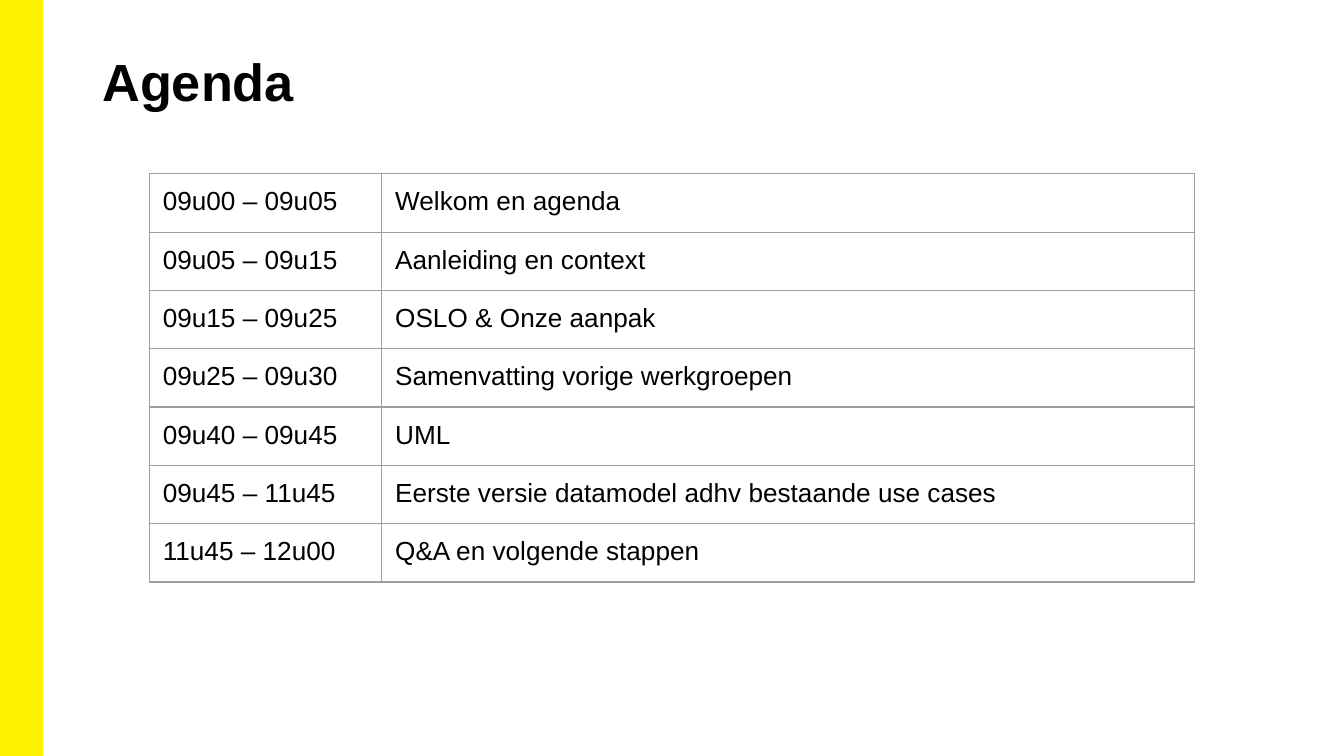
from lxml import etree
from pptx import Presentation
from pptx.dml.color import RGBColor
from pptx.enum import shapes, text
from pptx.oxml import ns
from pptx.util import Pt

YELLOW = RGBColor(0xFF, 0xF2, 0x00)
BLACK = RGBColor(0x00, 0x00, 0x00)
GREY = RGBColor(0x9E, 0x9E, 0x9E)
FONT = "Arial"

AGENDA = [
    ("09u00 – 09u05", "Welkom en agenda"),
    ("09u05 – 09u15", "Aanleiding en context"),
    ("09u15 – 09u25", "OSLO & Onze aanpak"),
    ("09u25 – 09u30", "Samenvatting vorige werkgroepen"),
    ("09u40 – 09u45", "UML"),
    ("09u45 – 11u45", "Eerste versie datamodel adhv bestaande use cases"),
    ("11u45 – 12u00", "Q&A en volgende stappen"),
]
ROW_HEIGHTS = [31.5, 31.2, 30.2, 30.2, 31.2, 30.2, 30.2]


def add_run(p, words, size, bold=False):
    r = p.add_run()
    r.text = words
    r.font.name = FONT
    r.font.size = Pt(size)
    r.font.bold = bold
    r.font.color.rgb = BLACK


def set_borders(cell):
    props = cell._tc.get_or_add_tcPr()
    for index, side in enumerate(("lnL", "lnR", "lnT", "lnB")):
        line = etree.Element(ns.qn(f"a:{side}"), w=str(Pt(0.75)))
        fill = etree.SubElement(line, ns.qn("a:solidFill"))
        etree.SubElement(fill, ns.qn("a:srgbClr"), val=str(GREY))
        props.insert(index, line)


def add_side_bar(s, left, top, width, height):
    sp = s.shapes.add_shape(
        shapes.MSO_SHAPE.RECTANGLE, Pt(left), Pt(top), Pt(width), Pt(height)
    )
    sp.shadow.inherit = False
    sp.fill.solid()
    sp.fill.fore_color.rgb = YELLOW
    sp.line.color.rgb = YELLOW
    sp.line.width = Pt(1)


def add_title(s, words, left, top, width, height):
    tf = s.shapes.add_textbox(Pt(left), Pt(top), Pt(width), Pt(height)).text_frame
    tf.word_wrap = True
    tf.vertical_anchor = text.MSO_ANCHOR.TOP
    tf.margin_left = tf.margin_right = Pt(5.4)
    tf.margin_top, tf.margin_bottom = Pt(5), Pt(2.7)
    add_run(tf.paragraphs[0], words, 28, bold=True)


def add_agenda(s, left, top, width, time_width):
    frame = s.shapes.add_table(
        len(AGENDA), 2, Pt(left), Pt(top), Pt(width), Pt(sum(ROW_HEIGHTS))
    )
    table = frame.table
    table.first_row = table.horz_banding = False
    table.columns[0].width = Pt(time_width)
    table.columns[1].width = Pt(width - time_width)
    for row, height, entry in zip(table.rows, ROW_HEIGHTS, AGENDA):
        row.height = Pt(height)
        for cell, words in zip(row.cells, entry):
            cell.fill.background()
            cell.margin_left = cell.margin_right = Pt(7.2)
            cell.margin_top = cell.margin_bottom = Pt(7.2)
            set_borders(cell)
            add_run(cell.text_frame.paragraphs[0], words, 14)


def main():
    prs = Presentation()
    prs.slide_width, prs.slide_height = Pt(720), Pt(405)
    s = prs.slides.add_slide(prs.slide_layouts[6])
    add_side_bar(s, 0, 0, 22.5, 405)
    add_title(s, "Agenda", 49.5, 21.6, 621, 58.5)
    add_agenda(s, 80, 92.9, 560, 124.5)
    prs.save("out.pptx")


if __name__ == "__main__":
    main()
